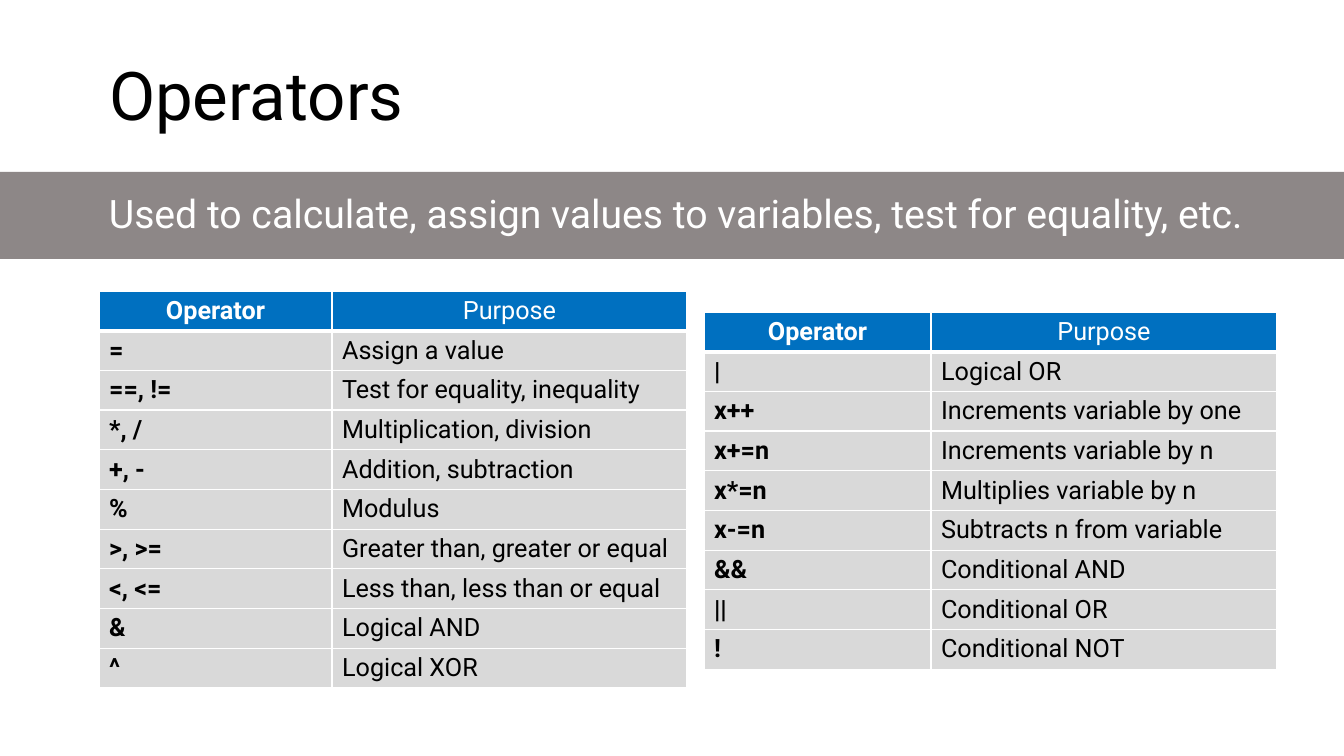
import pptx
import pptx.dml.color
import pptx.enum.shapes
import pptx.enum.text
import pptx.oxml
import pptx.oxml.ns
import pptx.util

PX = 914400 / 100.8
THEME = {
    "font": "Roboto",
    "black": "000000",
    "white": "FFFFFF",
    "band": "8D8787",
    "header": "0070C0",
    "body": "D9D9D9",
    "title_size": 48,
    "band_size": 28,
    "table_size": 18,
}
ROW_HEIGHT = 39
LEFT = pptx.enum.text.PP_ALIGN.LEFT
CENTER = pptx.enum.text.PP_ALIGN.CENTER


def px(*lengths):
    return [pptx.util.Emu(round(length * PX)) for length in lengths]


def write(frame, text, size, color, bold=False, **layout):
    para = frame.paragraphs[0]
    for name, value in layout.items():
        setattr(para, name, value)
    span = para.add_run()
    span.text = text
    formats = {"name": THEME["font"], "size": pptx.util.Pt(THEME[size]), "bold": bold}
    for name, value in formats.items():
        setattr(span.font, name, value)
    span.font.color.rgb = pptx.dml.color.RGBColor.from_string(THEME[color])


deck = pptx.Presentation()
deck.slide_width, deck.slide_height = px(1344, 756)
page = deck.slides.add_slide(deck.slide_layouts[5])

title = page.shapes.title
title.left, title.top, title.width, title.height = px(99, 26, 1153, 146)

band_group = page.shapes.add_group_shape()
band = band_group.shapes.add_shape(
    pptx.enum.shapes.MSO_SHAPE.RECTANGLE, *px(0, 172, 1344, 87)
)
band.shadow.inherit = False
band.fill.solid()
band.fill.fore_color.rgb = pptx.dml.color.RGBColor.from_string(THEME["band"])
band.line.fill.background()
band_text = band_group.shapes.add_textbox(*px(99, 172, 1191, 87))

frame_format = {
    "word_wrap": True,
    "auto_size": pptx.enum.text.MSO_AUTO_SIZE.NONE,
    "vertical_anchor": pptx.enum.text.MSO_ANCHOR.MIDDLE,
}
for box, text, size, color in [
    (title, "Operators", "title_size", "black"),
    (
        band_text,
        "Used to calculate, assign values to variables, test for equality, etc.",
        "band_size",
        "white",
    ),
]:
    for name, value in frame_format.items():
        setattr(box.text_frame, name, value)
    write(box.text_frame, text, size, color, alignment=LEFT, line_spacing=0.9)

heading = ("Operator", "Purpose")
operator_tables = [
    (99, 291, (233, 355), [
        heading,
        ("=", "Assign a value"),
        ("==, !=", "Test for equality, inequality"),
        ("*, /", "Multiplication, division"),
        ("+, -", "Addition, subtraction"),
        ("%", "Modulus"),
        (">, >=", "Greater than, greater or equal"),
        ("<, <=", "Less than, less than or equal"),
        ("&", "Logical AND"),
        ("^", "Logical XOR"),
    ]),
    (704, 312, (227, 346), [
        heading,
        ("|", "Logical OR"),
        ("x++", "Increments variable by one"),
        ("x+=n", "Increments variable by n"),
        ("x*=n", "Multiplies variable by n"),
        ("x-=n", "Subtracts n from variable"),
        ("&&", "Conditional AND"),
        ("||", "Conditional OR"),
        ("!", "Conditional NOT"),
    ]),
]

for left, top, widths, rows in operator_tables:
    table = page.shapes.add_table(
        len(rows), len(widths), *px(left, top, sum(widths), ROW_HEIGHT * len(rows))
    ).table
    for column, width in zip(table.columns, px(*widths)):
        column.width = width
    for row_index, texts in enumerate(rows):
        table.rows[row_index].height = px(ROW_HEIGHT)[0]
        is_header = row_index == 0
        for column_index, text in enumerate(texts):
            cell = table.cell(row_index, column_index)
            write(
                cell.text_frame,
                text,
                "table_size",
                "white" if is_header else "black",
                bold=column_index == 0,
                alignment=CENTER if is_header else LEFT,
            )
            properties = cell._tc.get_or_add_tcPr()
            for side in ("L", "R", "T", "B"):
                thick = (is_header and side == "B") or (row_index == 1 and side == "T")
                properties.append(pptx.oxml.parse_xml(
                    f'<a:ln{side} {pptx.oxml.ns.nsdecls("a")} w="{pptx.util.Pt(3 if thick else 1)}">'
                    f'<a:solidFill><a:srgbClr val="{THEME["white"]}"/></a:solidFill></a:ln{side}>'
                ))
            cell.fill.solid()
            cell.fill.fore_color.rgb = pptx.dml.color.RGBColor.from_string(
                THEME["header" if is_header else "body"]
            )

deck.save("out.pptx")
